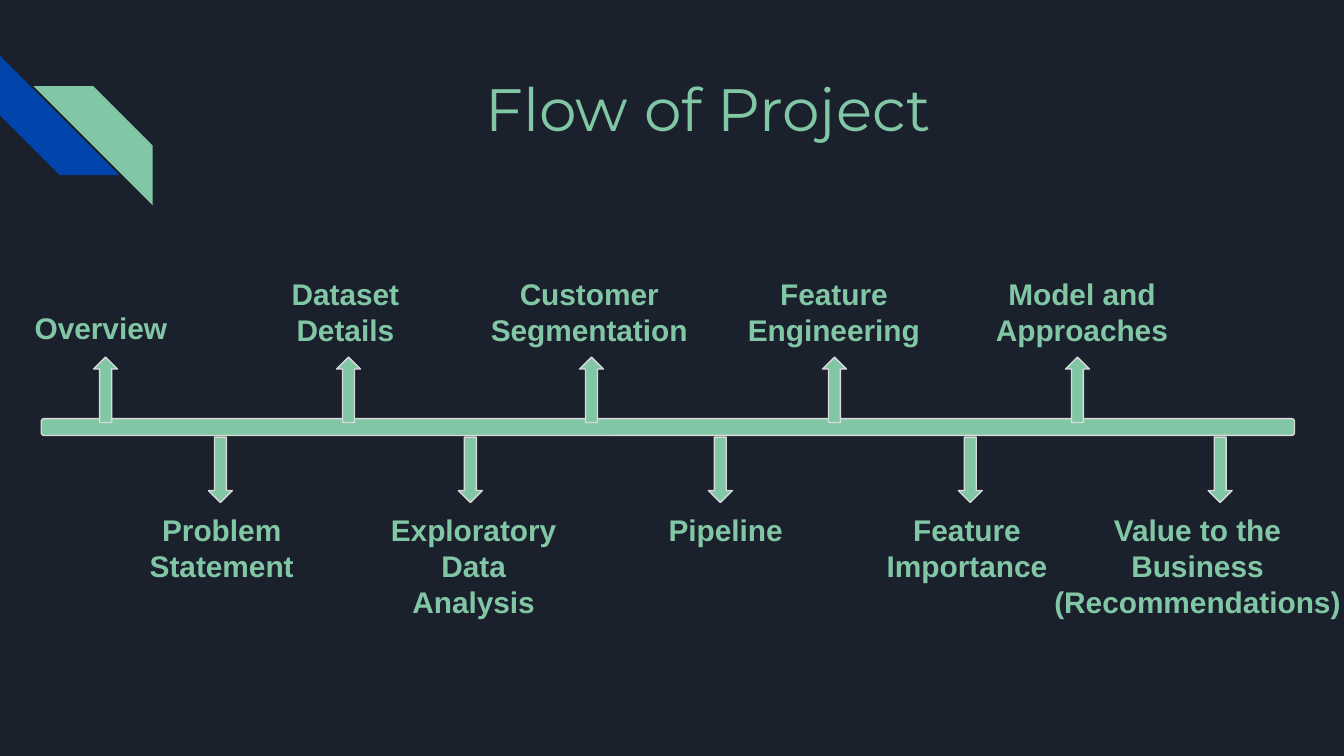
from pptx import Presentation
from pptx.dml.color import RGBColor
from pptx.enum.shapes import MSO_SHAPE
from pptx.enum.text import MSO_ANCHOR, MSO_AUTO_SIZE, PP_ALIGN
from pptx.util import Pt

ROUNDED = MSO_SHAPE.ROUNDED_RECTANGLE
UP_ARROW = MSO_SHAPE.UP_ARROW
DOWN_ARROW = MSO_SHAPE.DOWN_ARROW
LEFT = PP_ALIGN.LEFT
CENTER = PP_ALIGN.CENTER
TOP = MSO_ANCHOR.TOP
GROW = MSO_AUTO_SIZE.SHAPE_TO_FIT_TEXT
FIXED = MSO_AUTO_SIZE.NONE

NAVY, GREEN, BLUE, GRAY = "1B212C", "82C7A5", "0145AC", "D9D9D9"

UPPER_LABELS = [
    ("Overview", 11.5, 88.6, 1, LEFT),
    ("Dataset Details", 137.5, 95, 2, CENTER),
    ("Customer Segmentation", 252, 127.4, 2, CENTER),
    ("Feature Engineering", 392.4, 108.7, 2, CENTER),
    ("Model and Approaches", 520.6, 118.1, 2, CENTER),
]
LOWER_LABELS = [
    ("Problem Statement", 71.3, 95, 2, CENTER),
    ("Exploratory Data Analysis", 199.4, 108.7, 3, CENTER),
    ("Pipeline", 341.3, 95, 1, CENTER),
    ("Feature Importance", 463.7, 108.7, 2, CENTER),
    ("Value to the Business (Recommendations)", 556.6, 169.9, 3, CENTER),
]


def color(value):
    return RGBColor.from_string(value)


class TimelineSlide:
    label_font, label_size = "Arial", 16
    title_font, title_size = "Montserrat", 32
    inset = 7.2
    line_height = 18
    arrow_width, arrow_height = 12.8, 35

    def __init__(self, presentation):
        self.slide = presentation.slides.add_slide(presentation.slide_layouts[6])
        fill = self.slide.background.fill
        fill.solid()
        fill.fore_color.rgb = color(NAVY)

    def paint(self, shape, fill, line=None):
        shape.shadow.inherit = False
        shape.fill.solid()
        shape.fill.fore_color.rgb = color(fill)
        if line:
            shape.line.color.rgb = color(line)
            shape.line.width = Pt(0.75)
        else:
            shape.line.fill.background()

    def polygon(self, points, fill):
        corners = [(Pt(x), Pt(y)) for x, y in points]
        builder = self.slide.shapes.build_freeform(*corners[0], scale=1.0)
        builder.add_line_segments(corners[1:], close=True)
        self.paint(builder.convert_to_shape(), fill)

    def bar(self, left, top, width, height):
        shape = self.slide.shapes.add_shape(
            ROUNDED, Pt(left), Pt(top), Pt(width), Pt(height))
        shape.adjustments[0] = 0.167
        self.paint(shape, GREEN, GRAY)

    def arrow(self, kind, center, top):
        shape = self.slide.shapes.add_shape(
            kind, Pt(center - self.arrow_width / 2), Pt(top),
            Pt(self.arrow_width), Pt(self.arrow_height))
        self.paint(shape, GREEN, GRAY)

    def text(self, words, left, top, width, height, font, size,
             bold=False, align=CENTER, auto_size=FIXED):
        shape = self.slide.shapes.add_textbox(
            Pt(left), Pt(top), Pt(width), Pt(height))
        frame = shape.text_frame
        frame.word_wrap = True
        frame.auto_size = auto_size
        frame.vertical_anchor = TOP
        frame.margin_left = frame.margin_right = Pt(self.inset)
        frame.margin_top = frame.margin_bottom = Pt(self.inset)
        paragraph = frame.paragraphs[0]
        paragraph.alignment = align
        run = paragraph.add_run()
        run.text = words
        run.font.name = font
        run.font.size = Pt(size)
        run.font.bold = bold
        run.font.color.rgb = color(GREEN)

    def title(self, words, left, top, width, height):
        self.text(words, left, top, width, height,
                  self.title_font, self.title_size)

    def label(self, words, left, width, lines, align, top=None, bottom=None):
        height = 2 * self.inset + lines * self.line_height
        if top is None:
            top = bottom - height
        self.text(words, left, top, width, height, self.label_font,
                  self.label_size, True, align, GROW)


def main():
    presentation = Presentation()
    presentation.slide_width = Pt(720)
    presentation.slide_height = Pt(405)
    timeline = TimelineSlide(presentation)

    timeline.polygon([(0, 30), (63.8, 93.8), (32, 93.8), (0, 61.8)], BLUE)
    timeline.polygon([(18, 46.2), (50, 46.2), (81.8, 78), (81.8, 110)], GREEN)
    timeline.title("Flow of Project", 102.2, 31, 554.4, 72)

    timeline.bar(22.1, 224.3, 671.4, 9)
    for index in range(len(UPPER_LABELS)):
        timeline.arrow(UP_ARROW, 56.6 + 130.15 * index, 191.3)
    for index in range(len(LOWER_LABELS)):
        timeline.arrow(DOWN_ARROW, 118.1 + 133.9 * index, 234.2)

    for label in UPPER_LABELS:
        timeline.label(*label, bottom=191)
    for label in LOWER_LABELS:
        timeline.label(*label, top=267.1)

    presentation.save("out.pptx")


if __name__ == "__main__":
    main()
